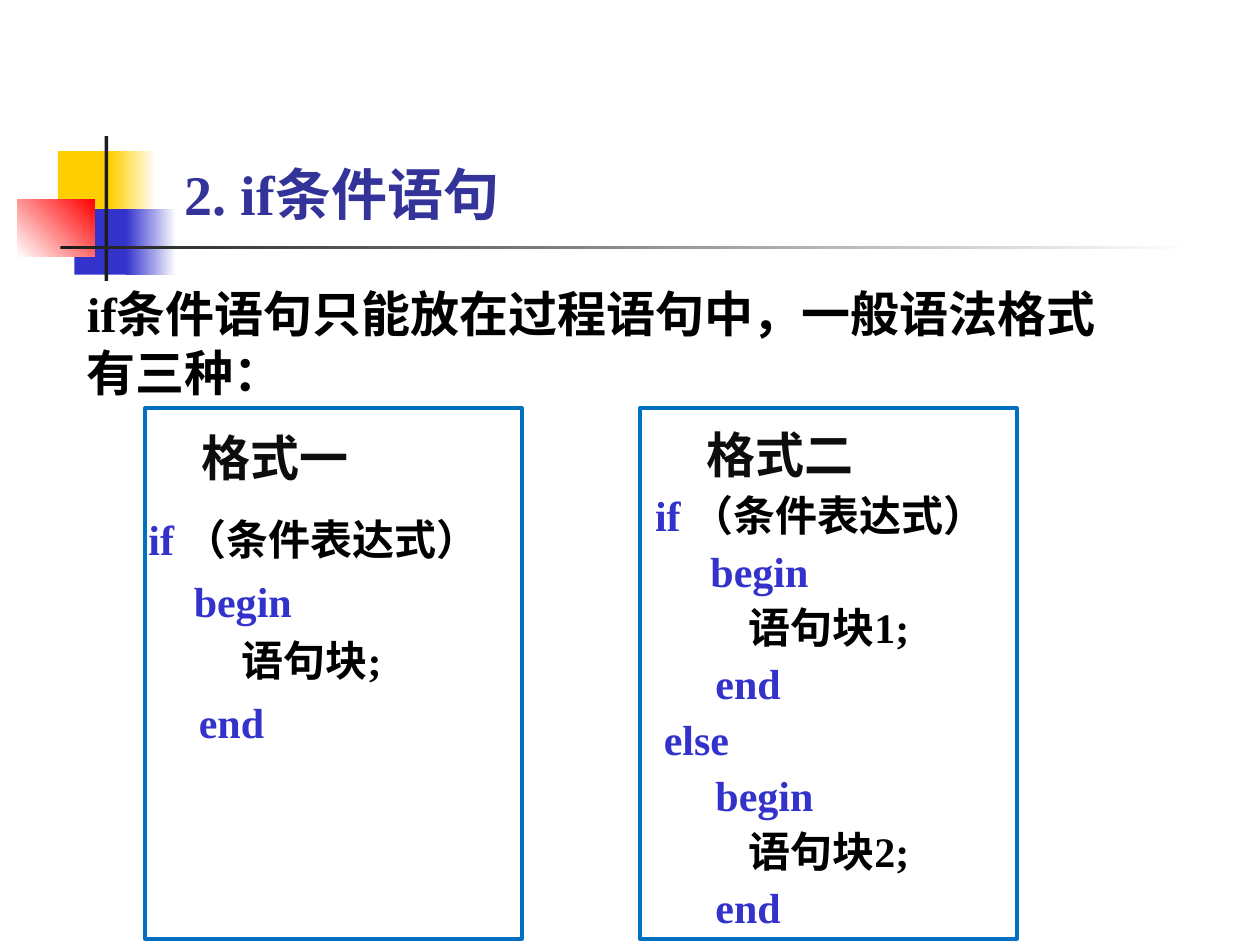
from pptx import Presentation
from pptx.dml.color import RGBColor
from pptx.enum.shapes import MSO_SHAPE
from pptx.enum.text import MSO_ANCHOR, MSO_AUTO_SIZE, PP_ALIGN
from pptx.oxml.ns import qn
from pptx.util import Inches, Pt

YELLOW = RGBColor(0xFF, 0xCF, 0x01)
BLUE = RGBColor(0x33, 0x33, 0xCC)
RED = RGBColor(0xFF, 0x00, 0x00)
WHITE = RGBColor(0xFF, 0xFF, 0xFF)
BLACK = RGBColor(0x00, 0x00, 0x00)
INK = RGBColor(0x1C, 0x1C, 0x1C)
HEADING = RGBColor(0x0D, 0x0D, 0x0D)
TITLE = RGBColor(0x33, 0x33, 0x99)
FRAME = RGBColor(0x00, 0x70, 0xC0)


def write(paragraph, text, size=24, color=BLACK):
    """Add a bold run with Latin and East Asian fonts."""
    run = paragraph.add_run()
    run.text = text
    run.font.size, run.font.bold = Pt(size), True
    run.font.color.rgb = color
    run.font.name = "Times New Roman"
    east_asian = run.font._element.makeelement(qn("a:ea"), {"typeface": "Noto Sans CJK SC"})
    run.font._element.find(qn("a:latin")).addnext(east_asian)


class SyntaxSlide:
    """Hold the slide and draw its elements in one style."""

    def __init__(self, slide):
        self.slide = slide

    def placeholder(self, holder, box, text, size, color, align, anchor):
        holder.left, holder.top, holder.width, holder.height = map(Inches, box)
        self.slide.shapes._spTree.append(holder._element)
        frame = holder.text_frame
        frame.word_wrap, frame.auto_size = True, MSO_AUTO_SIZE.NONE
        frame.vertical_anchor = anchor
        paragraph = frame.paragraphs[0]
        paragraph.alignment, paragraph.space_before = align, Pt(7)
        properties = paragraph._p.get_or_add_pPr()
        properties.set("marL", "0")
        properties.set("indent", "0")
        properties.append(properties.makeelement(qn("a:buNone"), {}))
        write(paragraph, text, size, color)

    def rectangle(self, box, colors=(), angle=0, outline=None):
        shape = self.slide.shapes.add_shape(MSO_SHAPE.RECTANGLE, *map(Inches, box))
        shape.shadow.inherit = False
        if len(colors) == 2:
            shape.fill.gradient()
            shape.fill.gradient_angle = angle
            for stop, color in zip(shape.fill.gradient_stops, colors):
                stop.color.rgb = color
        elif colors:
            shape.fill.solid()
            shape.fill.fore_color.rgb = colors[0]
        else:
            shape.fill.background()
        if outline:
            shape.line.color.rgb, shape.line.width = outline, Pt(2.24)
        else:
            shape.line.fill.background()
        return shape

    def syntax(self, box, inset_top, lines):
        frame = self.rectangle(box, [WHITE]).text_frame
        frame.word_wrap, frame.vertical_anchor = True, MSO_ANCHOR.TOP
        frame.margin_top = Inches(inset_top)
        for number, (runs, indent, before) in enumerate(lines):
            paragraph = frame.add_paragraph() if number else frame.paragraphs[0]
            paragraph.alignment = PP_ALIGN.JUSTIFY
            paragraph.line_spacing, paragraph.space_before = Pt(26), Pt(before)
            paragraph._p.get_or_add_pPr().set("marL", str(Inches(indent)))
            for run in runs:
                write(paragraph, *run)


def heading(text):
    return [(text, 28, HEADING)]


def keyword(text):
    return [(text, 24, BLUE)]


def statement(text):
    return [(text, 24, BLACK)]


CONDITION = keyword("if ") + statement("（条件表达式）")

presentation = Presentation()
presentation.slide_width, presentation.slide_height = Inches(10), Inches(7.5)
page = presentation.slides.add_slide(presentation.slide_layouts[1])
slide = SyntaxSlide(page)

for box, colors, angle in [
    ((0.46, 1.2, 0.48, 0.52), [YELLOW], 0),
    ((0.88, 1.2, 0.36, 0.52), [YELLOW, WHITE], 0),
    ((0.59, 1.66, 0.46, 0.52), [BLUE], 0),
    ((1, 1.66, 0.4, 0.52), [BLUE, WHITE], 0),
    ((0.14, 1.58, 0.61, 0.46), [WHITE, RED], 45),
    ((0.83, 1.08, 0.03, 1.15), [INK], 0),
    ((0.48, 1.95, 9, 0.03), [INK, WHITE], 0),
]:
    slide.rectangle(box, colors, angle)

slide.placeholder(page.shapes.title, (1.14, 1.16, 3.15, 0.75), "2. if条件语句",
                  32, TITLE, PP_ALIGN.CENTER, MSO_ANCHOR.MIDDLE)
slide.placeholder(page.placeholders[1], (0.59, 2.2, 8.51, 1.08),
                  "if条件语句只能放在过程语句中，一般语法格式有三种：",
                  28, BLACK, PP_ALIGN.LEFT, MSO_ANCHOR.TOP)

slide.syntax((0.98, 3.27, 3.62, 2.95), 0.23, [
    (heading("格式一"), 0.52, 0),
    (CONDITION, 0.1, 18.5),
    (keyword("begin"), 0.46, 9),
    (statement("语句块;"), 0.84, 8),
    (keyword("end"), 0.5, 9.5),
])
slide.syntax((5, 3.43, 3.62, 4.07), 0.05, [
    (heading("格式二"), 0.51, 0),
    (CONDITION, 0.1, 6),
    (keyword("begin"), 0.54, 6),
    (statement("语句块1;"), 0.84, 6),
    (keyword("end"), 0.58, 6),
    (keyword("else"), 0.17, 6),
    (keyword("begin"), 0.58, 6),
    (statement("语句块2;"), 0.84, 6),
    (keyword("end"), 0.58, 6),
])

for left in (1.15, 5.08):
    slide.rectangle((left, 3.24, 2.99, 4.21), outline=FRAME)

presentation.save("out.pptx")
